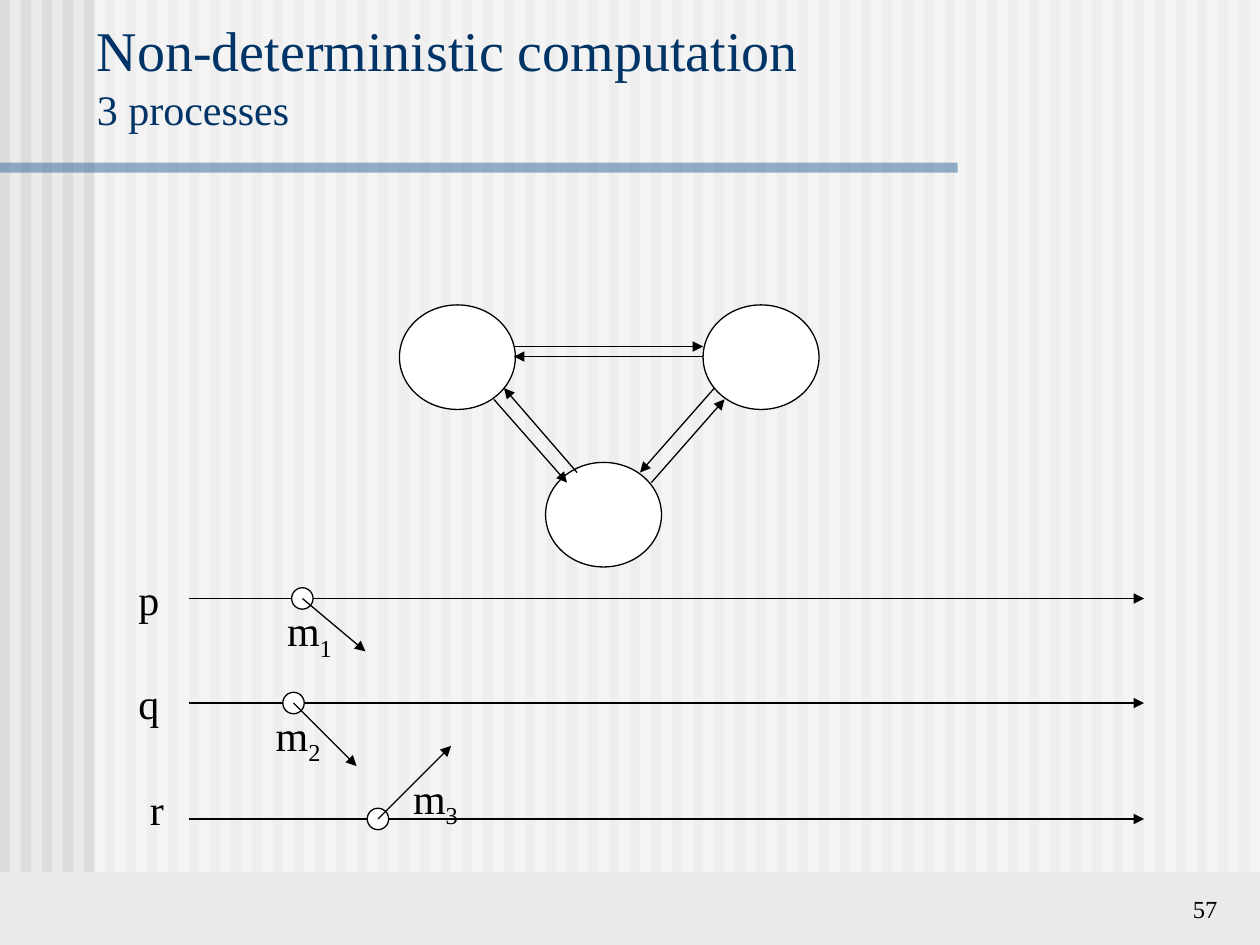
from lxml import etree
from pptx import Presentation
from pptx.dml.color import RGBColor
from pptx.enum import shapes, text
from pptx.oxml.ns import qn
from pptx.util import Inches, Pt

COLORS = {"background": "EAEAEA", "stripe": "DDDDDD", "white": "FFFFFF",
          "bar": "336699", "title": "003366", "ink": "000000"}
FONT = "Times New Roman"

TITLE, SUBTITLE, PAGE = "Non-deterministic computation", "3 processes", "57"

NODE_SIZE = (0.92, 0.83)
NODES = [(3.17, 2.42), (5.58, 2.42), (4.33, 3.67)]
CHANNELS = [  # from x, y, to x, y
    (4.58, 3.75, 4, 3.08), (3.92, 3.17, 4.5, 3.83),
    (5.67, 3.08, 5.08, 3.75), (5.17, 3.83, 5.75, 3.17),
    (4.08, 2.75, 5.58, 2.75), (5.58, 2.83, 4.08, 2.83),
]

TIMELINE_X = (1.5, 9.08)
EVENT_SIZE = 0.17
MESSAGE_SIZE = (0.56, 0.56)
PROCESSES = [  # timeline y, label box, event x, message end, message label
    {"name": "p", "y": 4.75, "box": (1, 4.5, 0.36, 0.5), "event": 2.4,
     "end": (2.9, 5.17), "message": "1", "message_at": (2.18, 4.75)},
    {"name": "q", "y": 5.58, "box": (1, 5.33, 0.36, 0.5), "event": 2.33,
     "end": (2.83, 6.08), "message": "2", "message_at": (2.09, 5.58)},
    {"name": "r", "y": 6.5, "box": (1.09, 6.17, 0.31, 0.5), "event": 3,
     "end": (3.58, 5.92), "message": "3", "message_at": (3.18, 6.08)},
]

STRIPE_COUNT, STRIPE_PITCH, STRIPE_WIDTH, STRIPE_HEIGHT = 60, 1 / 6, 0.08, 6.92

deck = Presentation()
deck.slide_width, deck.slide_height = Inches(10), Inches(7.5)
slide = deck.slides.add_slide(deck.slide_layouts[6])


def rgb(name):
    return RGBColor.from_string(COLORS[name])


def add_filled(kind, box, fill, outlined=False, alpha=None):
    """Add a preset shape; alpha is its opacity in percent."""
    shape = slide.shapes.add_shape(kind, *map(Inches, box))
    shape.shadow.inherit = False
    shape.fill.solid()
    shape.fill.fore_color.rgb = rgb(fill)
    if alpha is not None:
        color = shape.fill._xPr.find(".//" + qn("a:srgbClr"))
        etree.SubElement(color, qn("a:alpha"), val=str(alpha * 1000))
    if outlined:
        shape.line.color.rgb = rgb("ink")
        shape.line.width = Pt(0.75)
    else:
        shape.line.fill.background()


def add_arrow(*ends):
    arrow = slide.shapes.add_connector(
        shapes.MSO_CONNECTOR.STRAIGHT, *map(Inches, ends))
    arrow.line.color.rgb = rgb("ink")
    arrow.line.width = Pt(0.75)
    etree.SubElement(arrow.line._get_or_add_ln(), qn("a:tailEnd"), type="triangle")
    etree.SubElement(arrow._element.spPr, qn("a:effectLst"))


def add_label(box, pieces, color="ink", wrap=False, anchor=text.MSO_ANCHOR.TOP):
    """Add a one-paragraph text box from (wording, point size) pieces."""
    frame = slide.shapes.add_textbox(*map(Inches, box)).text_frame
    frame.word_wrap = wrap
    if not wrap:
        frame.auto_size = text.MSO_AUTO_SIZE.SHAPE_TO_FIT_TEXT
    frame.vertical_anchor = anchor
    paragraph = frame.paragraphs[0]
    for wording, size in pieces:
        if wording == "\v":
            paragraph.add_line_break()
            continue
        run = paragraph.add_run()
        run.text = wording
        run.font.name, run.font.size = FONT, Pt(size)
        run.font.color.rgb = rgb(color)
    return paragraph


RECTANGLE = shapes.MSO_SHAPE.RECTANGLE
BOTTOM = text.MSO_ANCHOR.BOTTOM

slide.background.fill.solid()
slide.background.fill.fore_color.rgb = rgb("background")
for i in range(STRIPE_COUNT):
    add_filled(RECTANGLE, (i * STRIPE_PITCH, 0, STRIPE_WIDTH, STRIPE_HEIGHT), "stripe")
add_filled(RECTANGLE, (0.75, 0, 9.25, STRIPE_HEIGHT), "white", alpha=50)
add_filled(RECTANGLE, (0, 1.29, 7.6, 0.08), "bar", alpha=50)

page_number = add_label((7.68, 6.88, 2.08, 0.5), [(PAGE, 14)], wrap=True, anchor=BOTTOM)
page_number.alignment = text.PP_ALIGN.RIGHT
add_label((0.67, 0.08, 8.93, 1.03), [(TITLE, 32), ("\v", None), (SUBTITLE, 24)],
          "title", wrap=True, anchor=BOTTOM)

for node in NODES:
    add_filled(shapes.MSO_SHAPE.OVAL, node + NODE_SIZE, "white", outlined=True)
for channel in CHANNELS:
    add_arrow(*channel)

for process in PROCESSES:
    y, event = process["y"], process["event"]
    add_arrow(TIMELINE_X[0], y, TIMELINE_X[1], y)
    add_filled(shapes.MSO_SHAPE.FLOWCHART_CONNECTOR,
               (event - EVENT_SIZE / 2, y - EVENT_SIZE / 2, EVENT_SIZE, EVENT_SIZE),
               "white", outlined=True)
    add_arrow(event, y, *process["end"])
    add_label(process["box"], [(process["name"], 24)])
    message = add_label(process["message_at"] + MESSAGE_SIZE,
                        [("m", 24), (process["message"], 24)])
    message.runs[1].font._element.set("baseline", "-25000")

deck.save("out.pptx")
